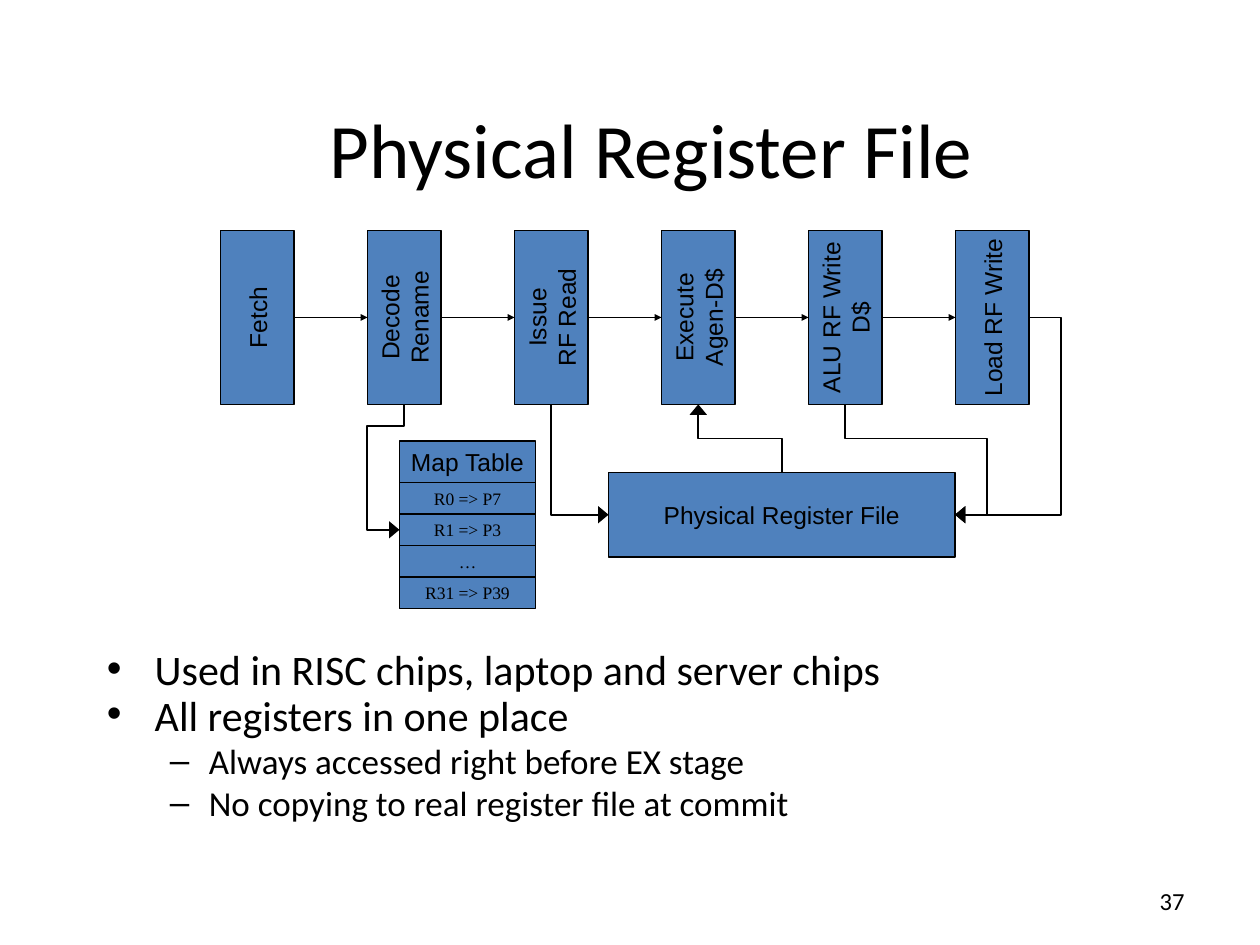
from dataclasses import dataclass
from typing import Any

import pptx
import pptx.dml.color
import pptx.enum.shapes
import pptx.enum.text
import pptx.oxml.ns
import pptx.util

Inches = pptx.util.Inches
Pt = pptx.util.Pt
Align = pptx.enum.text.PP_ALIGN
Anchor = pptx.enum.text.MSO_ANCHOR
Kind = pptx.enum.shapes.MSO_CONNECTOR
qn = pptx.oxml.ns.qn
Spot = tuple[float, float]


@dataclass(frozen=True)
class Theme:
    ink: Any = pptx.dml.color.RGBColor(0, 0, 0)
    fill: Any = pptx.dml.color.RGBColor(0x4F, 0x81, 0xBD)
    body: str = "Calibri"
    label: str = "Arial"
    entry: str = "Times New Roman"
    title: int = 44
    point: int = 24
    sub: int = 20
    small: int = 14
    tiny: int = 10
    line: int = 1


@dataclass(frozen=True)
class Box:
    left: float
    top: float
    width: float
    height: float
    lines: tuple[str, ...]
    font: str
    size: int
    turn: int = 0


@dataclass(frozen=True)
class Route:
    start: Spot
    end: Spot
    bends: int
    turn: int
    adjust: tuple[float, ...] = ()


@dataclass(frozen=True)
class Level:
    mark: str
    size: int
    indent: float
    hang: float
    space: float
    before: int


THEME = Theme()
MAIN = Level("•", THEME.point, 0.38, 0.38, 0.7, 6)
SUB = Level("–", THEME.sub, 0.81, 0.31, 0.8, 5)

POINTS = [
    (MAIN, "Used in RISC chips, laptop and server chips"),
    (MAIN, "All registers in one place"),
    (SUB, "Always accessed right before EX stage"),
    (SUB, "No copying to real register file at commit"),
]
STAGES = [
    ("Fetch",),
    ("Decode", "Rename"),
    ("Issue", "RF Read"),
    ("Execute", "Agen-D$"),
    ("ALU RF Write", "D$"),
    ("Load RF Write",),
]
ENTRIES = ["R0 => P7", "R1 => P3", "…", "R31 => P39"]

# Stages are half a pitch wide, so the gaps equal the boxes.
PITCH = 7 / 6
WIDE = PITCH / 2
TALL = 1.38
FIRST = 1.75
MID = 2.52
FOOT = MID + TALL / 2
TABLE = (3.17, 3.5, 1.08)
HEAD, ROW = 0.33, 0.25
FILE = (4.83, 3.75, 2.75, 0.67)


def left(stage: int) -> float:
    return FIRST + stage * PITCH


def base(stage: int) -> Spot:
    """Bottom centre of a stage."""
    return left(stage) + WIDE / 2, FOOT


def add_run(para: Any, text: str, font: str, size: int) -> None:
    run = para.add_run()
    run.text = text
    run.font.name = font
    run.font.size = Pt(size)
    run.font.color.rgb = THEME.ink


def add_text(slide: Any, at: tuple[float, ...], anchor: Any) -> Any:
    frame = slide.shapes.add_textbox(*map(Inches, at)).text_frame
    frame.word_wrap = True
    frame.vertical_anchor = anchor
    return frame


def add_line(slide: Any, text: str, at: tuple[float, ...], size: int, align: Any) -> None:
    para = add_text(slide, at, Anchor.MIDDLE).paragraphs[0]
    para.alignment = align
    add_run(para, text, THEME.body, size)


def add_points(slide: Any) -> None:
    frame = add_text(slide, (0.75, 5.17, 8.5, 1.5), Anchor.TOP)
    for i, (level, text) in enumerate(POINTS):
        para = frame.add_paragraph() if i else frame.paragraphs[0]
        props = para._p.get_or_add_pPr()
        props.set("marL", str(Inches(level.indent)))
        props.set("indent", str(-Inches(level.hang)))
        font = props.makeelement(qn("a:buFont"), {"typeface": THEME.label})
        mark = props.makeelement(qn("a:buChar"), {"char": level.mark})
        props.extend([font, mark])
        para.level = 1 if level is SUB else 0
        para.line_spacing = level.space
        para.space_before = Pt(level.before if i else 0)
        add_run(para, text, THEME.body, level.size)


def add_box(shapes: Any, box: Box) -> None:
    shape = shapes.add_shape(
        pptx.enum.shapes.MSO_SHAPE.RECTANGLE,
        *map(Inches, (box.left, box.top, box.width, box.height)),
    )
    shape.rotation = box.turn
    shape.shadow.inherit = False
    shape.fill.solid()
    shape.fill.fore_color.rgb = THEME.fill
    shape.line.color.rgb = THEME.ink
    shape.line.width = Pt(THEME.line)
    frame = shape.text_frame
    frame.word_wrap = False
    frame.vertical_anchor = Anchor.MIDDLE
    for i, text in enumerate(box.lines):
        para = frame.add_paragraph() if i else frame.paragraphs[0]
        para.alignment = Align.CENTER
        add_run(para, text, box.font, box.size)


def add_arrow(slide: Any, kind: Any, start: Spot, end: Spot, wide: str, long: str) -> Any:
    arrow = slide.shapes.add_connector(kind, *map(Inches, (*start, *end)))
    arrow.line.color.rgb = THEME.ink
    arrow.line.width = Pt(THEME.line)
    props = arrow._element.spPr
    tip = {"type": "triangle", "w": wide, "len": long}
    line = arrow.line._get_or_add_ln()
    line.append(line.makeelement(qn("a:tailEnd"), tip))
    props.append(props.makeelement(qn("a:effectLst"), {}))
    return arrow


def add_route(slide: Any, route: Route) -> None:
    """Draw an elbow; its ends are turned back so that its rotation restores them."""
    (ax, ay), (bx, by) = route.start, route.end
    cx, cy = (ax + bx) / 2, (ay + by) / 2
    dx, dy = ax - cx, ay - cy
    dx, dy = {0: (dx, dy), 90: (dy, -dx), 270: (-dy, dx)}[route.turn]
    arrow = add_arrow(slide, Kind.ELBOW, (cx + dx, cy + dy), (cx - dx, cy - dy), "lg", "med")
    props = arrow._element.spPr
    props.find(qn("a:xfrm")).set("rot", str(route.turn * 60000))
    shape = props.find(qn("a:prstGeom"))
    shape.set("prst", f"bentConnector{route.bends + 1}")
    guides = shape.find(qn("a:avLst"))
    for i, value in enumerate(route.adjust, 1):
        guide = {"name": f"adj{i}", "fmla": f"val {round(value * 100000)}"}
        guides.append(guides.makeelement(qn("a:gd"), guide))


def add_table(slide: Any) -> None:
    shapes = slide.shapes.add_group_shape().shapes
    x, y, wide = TABLE
    add_box(shapes, Box(x, y, wide, HEAD, ("Map Table",), THEME.label, THEME.small))
    for i, text in enumerate(ENTRIES):
        top = y + HEAD + i * ROW
        add_box(shapes, Box(x, top, wide, ROW, (text,), THEME.entry, THEME.tiny))


def main() -> None:
    deck = pptx.Presentation()
    deck.slide_width, deck.slide_height = Inches(10), Inches(7.5)
    slide = deck.slides.add_slide(deck.slide_layouts[6])
    add_line(slide, "Physical Register File", (0.75, 0.67, 8.84, 1), THEME.title, Align.CENTER)
    add_points(slide)
    add_line(slide, "37", (8.33, 6.95, 1.17, 0.4), THEME.small, Align.RIGHT)

    for i, lines in enumerate(STAGES):
        x = left(i) + (WIDE - TALL) / 2
        box = Box(x, MID - WIDE / 2, TALL, WIDE, lines, THEME.label, THEME.small, 270)
        add_box(slide.shapes, box)
    for i in range(1, len(STAGES)):
        add_arrow(slide, Kind.STRAIGHT, (left(i) - WIDE, MID), (left(i), MID), "sm", "sm")

    add_box(slide.shapes, Box(*FILE, ("Physical Register File",), THEME.label, THEME.small))
    add_table(slide)
    x, y, wide, tall = FILE
    entry, write = (x, y + tall / 2), (x + wide, y + tall / 2)
    routes = [
        Route(base(2), entry, 1, 270),
        Route(base(4), write, 3, 270, (0.31, 1.29)),
        Route((left(5) + WIDE, MID), write, 2, 0, (-0.43,)),
        Route(base(1), (TABLE[0], TABLE[1] + HEAD + 1.5 * ROW), 3, 90, (0.17, 7.7)),
        Route((x + wide / 2, y), base(3), 2, 270, (0.5,)),
    ]
    for route in routes:
        add_route(slide, route)
    deck.save("out.pptx")


if __name__ == "__main__":
    main()
